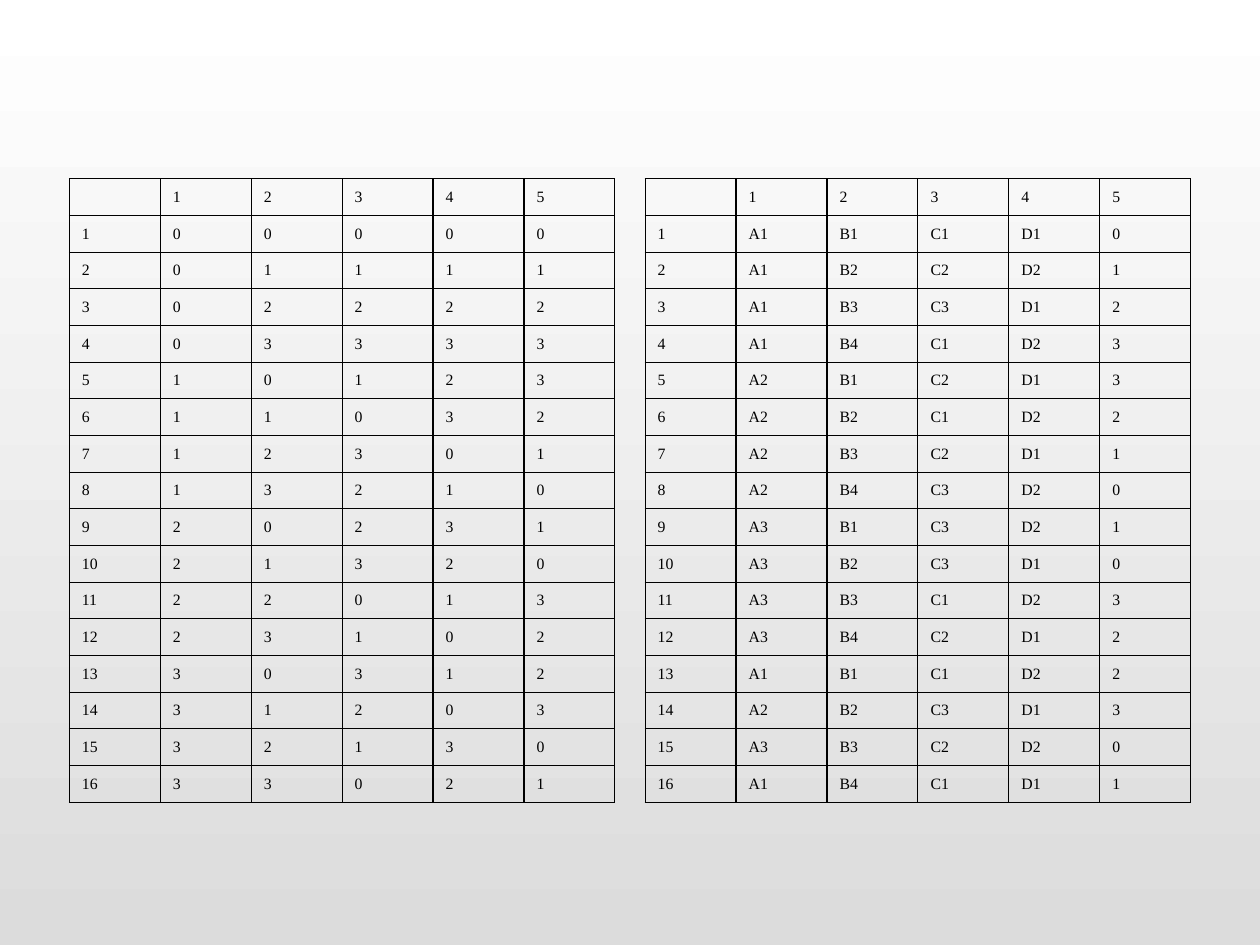
from dataclasses import dataclass

from lxml.etree import SubElement
from pptx import Presentation
from pptx.dml.color import RGBColor as RGB
from pptx.enum.text import MSO_ANCHOR as Anchor
from pptx.oxml.ns import qn
from pptx.util import Inches, Pt


@dataclass(frozen=True)
class Theme:
    font: str = "Times New Roman"
    text_size: float = 9
    ink: str = "000000"
    border_width: float = 0.75
    background: tuple = ("FFFFFF", "DCDCDC")


THEME = Theme()

TABLE_TOP, TABLE_WIDTH, TABLE_HEIGHT = 1.42, 4.33, 4.95
LEVELS_LEFT, FACTORS_LEFT = 0.55, 5.12

LEVELS = """
0 0 0 0 0
0 1 1 1 1
0 2 2 2 2
0 3 3 3 3
1 0 1 2 3
1 1 0 3 2
1 2 3 0 1
1 3 2 1 0
2 0 2 3 1
2 1 3 2 0
2 2 0 1 3
2 3 1 0 2
3 0 3 1 2
3 1 2 0 3
3 2 1 3 0
3 3 0 2 1
"""

FACTORS = """
A1 B1 C1 D1 0
A1 B2 C2 D2 1
A1 B3 C3 D1 2
A1 B4 C1 D2 3
A2 B1 C2 D1 3
A2 B2 C1 D2 2
A2 B3 C2 D1 1
A2 B4 C3 D2 0
A3 B1 C3 D2 1
A3 B2 C3 D1 0
A3 B3 C1 D2 3
A3 B4 C2 D1 2
A1 B1 C1 D2 2
A2 B2 C3 D1 3
A3 B3 C2 D2 0
A1 B4 C1 D1 1
"""


def paint_background(slide):
    fill = slide.background.fill
    fill.gradient()
    fill.gradient_angle = 270
    for stop, color in zip(fill.gradient_stops, THEME.background):
        stop.color.rgb = RGB.from_string(color)


def numbered_grid(runs):
    """Add column numbers above the runs and a run number before each."""
    rows = [line.split() for line in runs.strip().splitlines()]
    header = ["", *(str(n) for n in range(1, len(rows[0]) + 1))]
    return [header] + [[str(n), *row] for n, row in enumerate(rows, 1)]


def draw_borders(cell):
    properties = cell._tc.get_or_add_tcPr()
    for side in ("a:lnL", "a:lnR", "a:lnT", "a:lnB"):
        line = SubElement(properties, qn(side), w=str(Pt(THEME.border_width)))
        fill = SubElement(line, qn("a:solidFill"))
        SubElement(fill, qn("a:srgbClr"), val=THEME.ink)


def write_cell(cell, text):
    draw_borders(cell)
    cell.fill.background()
    cell.vertical_anchor = Anchor.MIDDLE
    paragraph = cell.text_frame.paragraphs[0]
    if not text:
        # Keeps the empty cell from stretching its row.
        SubElement(paragraph._p, qn("a:endParaRPr"), sz=str(int(THEME.text_size * 100)))
        return
    run = paragraph.add_run()
    run.text = text
    run.font.name = THEME.font
    run.font.size = Pt(THEME.text_size)
    run.font.color.rgb = RGB.from_string(THEME.ink)


def add_design_table(slide, left, runs):
    grid = numbered_grid(runs)
    table = slide.shapes.add_table(
        len(grid), len(grid[0]), Inches(left), Inches(TABLE_TOP),
        Inches(TABLE_WIDTH), Inches(TABLE_HEIGHT),
    ).table
    table.first_row = table.horz_banding = False
    for row, texts in zip(table.rows, grid):
        for cell, text in zip(row.cells, texts):
            write_cell(cell, text)


def main():
    deck = Presentation()
    deck.slide_width, deck.slide_height = Inches(10), Inches(7.5)
    slide = deck.slides.add_slide(deck.slide_layouts[6])
    paint_background(slide)
    add_design_table(slide, LEVELS_LEFT, LEVELS)
    add_design_table(slide, FACTORS_LEFT, FACTORS)
    deck.save("out.pptx")


if __name__ == "__main__":
    main()
